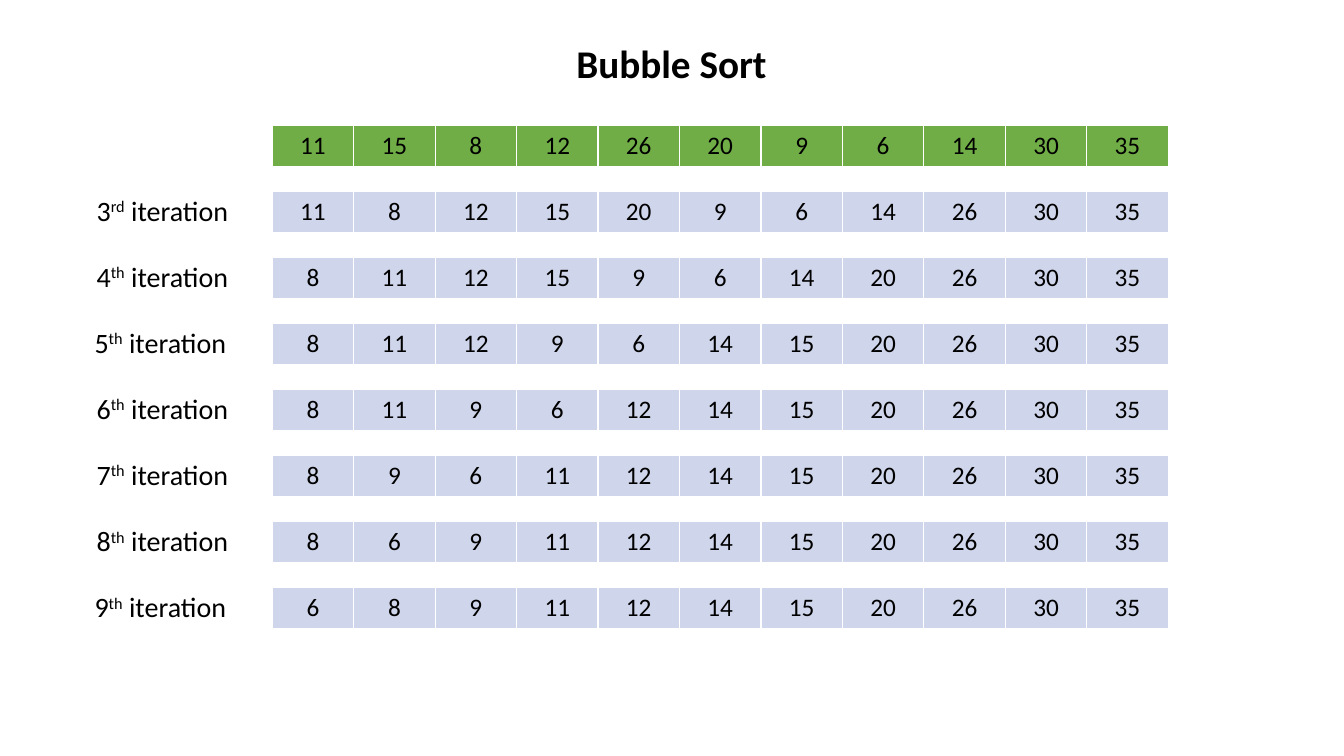
from pptx import Presentation
from pptx.dml.color import RGBColor
from pptx.enum import text
from pptx.oxml import parse_xml
from pptx.oxml.ns import nsdecls
from pptx.util import Inches, Pt

BLACK = RGBColor(0x00, 0x00, 0x00)
GREEN = RGBColor(0x70, 0xAD, 0x47)
LAVENDER = RGBColor(0xCF, 0xD5, 0xEA)
WHITE = RGBColor(0xFF, 0xFF, 0xFF)

START_VALUES = [11, 15, 8, 12, 26, 20, 9, 6, 14, 30, 35]
ITERATIONS = range(3, 10)
ROW_LEFT, ROW_TOP = 2.7, 1.24
ROW_WIDTH, ROW_HEIGHT = 8.89, 0.41
ROW_PITCH = (5.83 - ROW_TOP) / len(ITERATIONS)


def bubble_pass(values):
    """Return the values after one pass of bubble sort."""
    values = list(values)
    for i in range(len(values) - 1):
        if values[i] > values[i + 1]:
            values[i], values[i + 1] = values[i + 1], values[i]
    return values


class SortSlide:
    font_name = "Calibri"

    def __init__(self, presentation):
        self.slide = presentation.slides.add_slide(presentation.slide_layouts[5])

    def style(self, paragraph, size, bold=False):
        paragraph.alignment = text.PP_ALIGN.CENTER
        font = paragraph.font
        font.name, font.size, font.bold = self.font_name, Pt(size), bold
        font.color.rgb = BLACK

    def title(self, wording, left, top, width, height):
        shape = self.slide.shapes.title
        shape.left, shape.top = Inches(left), Inches(top)
        shape.width, shape.height = Inches(width), Inches(height)
        frame = shape.text_frame
        frame.text = wording
        frame.word_wrap = True
        frame.auto_size = text.MSO_AUTO_SIZE.NONE
        frame.vertical_anchor = text.MSO_ANCHOR.TOP
        paragraph = frame.paragraphs[0]
        paragraph.line_spacing = 0.9
        paragraph.space_before = Pt(0)
        self.style(paragraph, 28, bold=True)

    def label(self, number, left, top):
        shape = self.slide.shapes.add_textbox(
            Inches(left), Inches(top), Inches(1.72), Inches(0.44))
        frame = shape.text_frame
        frame.word_wrap = True
        frame.auto_size = text.MSO_AUTO_SIZE.SHAPE_TO_FIT_TEXT
        paragraph = frame.paragraphs[0]
        suffix = "rd" if number == 3 else "th"
        for wording in (str(number), suffix, " iteration"):
            run = paragraph.add_run()
            run.text = wording
            if wording == suffix:
                run.font._element.set("baseline", "30000")
        self.style(paragraph, 20)

    def number_row(self, values, top, fill):
        table = self.slide.shapes.add_table(
            1, len(values), Inches(ROW_LEFT), Inches(top),
            Inches(ROW_WIDTH), Inches(ROW_HEIGHT)).table
        table.first_row = table.horz_banding = False
        for cell, value in zip(table.rows[0].cells, values):
            cell.text = str(value)
            self.style(cell.text_frame.paragraphs[0], 18)
            self.borders(cell)
            cell.fill.solid()
            cell.fill.fore_color.rgb = fill

    def borders(self, cell):
        properties = cell._tc.get_or_add_tcPr()
        for side in ("lnL", "lnR", "lnT", "lnB"):
            properties.append(parse_xml(
                f'<a:{side} {nsdecls("a")} w="{Pt(1)}"><a:solidFill>'
                f'<a:srgbClr val="{WHITE}"/></a:solidFill></a:{side}>'))


def main():
    presentation = Presentation()
    presentation.slide_width, presentation.slide_height = Inches(13.33), Inches(7.5)
    slide = SortSlide(presentation)

    # Title and starting values
    slide.title("Bubble Sort", 5.45, 0.39, 2.42, 0.66)
    slide.number_row(START_VALUES, ROW_TOP, GREEN)

    # One labelled row for each iteration
    values = START_VALUES
    for step, number in enumerate(ITERATIONS, start=1):
        values = bubble_pass(values)
        top = ROW_TOP + step * ROW_PITCH
        slide.number_row(values, top, LAVENDER)
        slide.label(number, 0.73 if number in (5, 9) else 0.75, top - 0.03)

    presentation.save("out.pptx")


if __name__ == "__main__":
    main()
